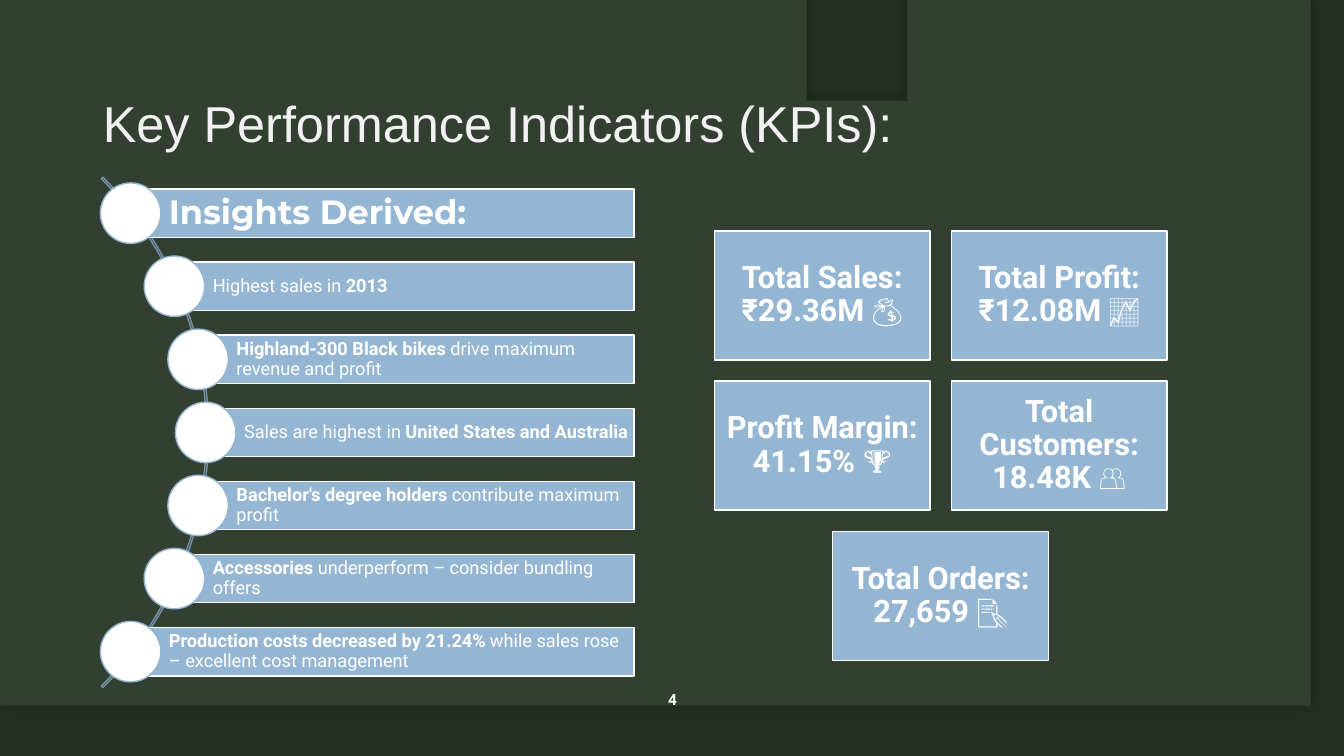
from dataclasses import dataclass
from math import sqrt
from typing import NamedTuple

from lxml import etree
from pptx import Presentation
from pptx.dml.color import RGBColor
from pptx.enum.shapes import MSO_SHAPE
from pptx.enum.text import MSO_ANCHOR, MSO_AUTO_SIZE, PP_ALIGN
from pptx.oxml.ns import qn
from pptx.shapes.autoshape import Shape
from pptx.shapes.group import GroupShape
from pptx.slide import Slide
from pptx.text.text import TextFrame
from pptx.util import Inches, Pt

RECTANGLE, OVAL, BLOCK_ARC = MSO_SHAPE.RECTANGLE, MSO_SHAPE.OVAL, MSO_SHAPE.BLOCK_ARC
TOP, MIDDLE = MSO_ANCHOR.TOP, MSO_ANCHOR.MIDDLE
LEFT, CENTER = PP_ALIGN.LEFT, PP_ALIGN.CENTER


@dataclass(frozen=True)
class Theme:
    paper: str = "334031"
    shade: str = "000000"
    panel: str = "94B6D2"
    arc: str = "7792A8"
    white: str = "FFFFFF"
    title: str = "F2F2F2"
    title_font: str = "Arial"
    heading_font: str = "Montserrat"
    body_font: str = "Roboto"
    title_size: int = 36
    heading_size: int = 24
    card_size: int = 22
    insight_size: int = 13
    number_size: int = 11


class Box(NamedTuple):
    left: float
    top: float
    width: float
    height: float


class Point(NamedTuple):
    x: float
    y: float


class Piece(NamedTuple):
    text: str
    bold: bool = False


class Style(NamedTuple):
    font: str
    size: int
    align: PP_ALIGN
    insets: tuple[float, float, float, float]


THEME = Theme()
SLIDE = Box(0, 0, 13.33, 7.5)
HEADING = Style(THEME.heading_font, THEME.heading_size, LEFT, (0.38, 0.07, 0.07, 0.07))
INSIGHT = Style(THEME.body_font, THEME.insight_size, LEFT, (0.38, 0.04, 0.04, 0.04))
CARD = Style(THEME.body_font, THEME.card_size, CENTER, (0.09, 0.09, 0.09, 0.09))
NUMBER = Style(THEME.body_font, THEME.number_size, CENTER, (0.1, 0.05, 0.1, 0.05))

INSIGHTS = [
    [Piece("Insights Derived:", True)],
    [Piece("Highest sales in "), Piece("2013", True)],
    [Piece("Highland-300 Black bikes", True), Piece(" drive maximum revenue and profit")],
    [Piece("Sales are highest in "), Piece("United States and Australia", True)],
    [Piece("Bachelor's degree holders", True), Piece(" contribute maximum profit")],
    [Piece("Accessories", True), Piece(" underperform – consider bundling offers")],
    [Piece("Production costs decreased by 21.24%", True),
     Piece(" while sales rose – excellent cost management")],
]
CARD_ROWS = [
    ["Total Sales: ₹29.36M 💰", "Total Profit: ₹12.08M 📈"],
    ["Profit Margin: 41.15% 🏆", "Total Customers: 18.48K 👥"],
    ["Total Orders: 27,659 📝"],
]
TOP_EDGE = [0.45, 0.37, 0.38, 0.27, 0.38, 0.36, 0.46, 0.41, 0.54, 0.38, 0.4, 0.37, 0.34]
BOTTOM_EDGE = [7.14, 7.17, 7.18, 7.11, 7.11, 7.16, 7.14, 7.08, 7.17, 7.23, 7.15, 7.18, 7.2]
LEFT_EDGE = [0.35, 0.27, 0.37, 0.37, 0.42, 0.37, 0.34]
RIGHT_EDGE = [12.98, 12.91, 12.99, 13.02, 12.97, 12.94, 13.05]


def color(value: str) -> RGBColor:
    return RGBColor.from_string(value)


def paint(shape: Shape, fill: str | None, line: str | None) -> None:
    shape.shadow.inherit = False
    if fill:
        shape.fill.solid()
        shape.fill.fore_color.rgb = color(fill)
    else:
        shape.fill.background()
    if line:
        shape.line.color.rgb = color(line)
        shape.line.width = Pt(1)
    else:
        shape.line.fill.background()


def add_shape(parent: Slide | GroupShape, kind: MSO_SHAPE, box: Box,
              fill: str | None, line: str | None) -> Shape:
    shape = parent.shapes.add_shape(kind, *map(Inches, box))
    paint(shape, fill, line)
    return shape


def write(text_frame: TextFrame, pieces: list[Piece], style: Style) -> None:
    text_frame.word_wrap = True
    text_frame.vertical_anchor = MIDDLE
    (text_frame.margin_left, text_frame.margin_top,
     text_frame.margin_right, text_frame.margin_bottom) = map(Inches, style.insets)
    paragraph = text_frame.paragraphs[0]
    paragraph.alignment = style.align
    paragraph.line_spacing = 0.9
    paragraph.space_after = Pt(round(style.size * 0.35, 1))
    for piece in pieces:
        run = paragraph.add_run()
        run.text = piece.text
        run.font.name = style.font
        run.font.size = Pt(style.size)
        run.font.bold = piece.bold
        run.font.color.rgb = color(THEME.white)


def paper_corners() -> list[Point]:
    top = [Point(0.5 + step, y) for step, y in enumerate(TOP_EDGE)]
    right = [Point(x, 0.7 + step) for step, x in enumerate(RIGHT_EDGE)]
    bottom = [Point(0.5 + step, y) for step, y in enumerate(BOTTOM_EDGE)]
    left = [Point(x, 0.7 + step) for step, x in enumerate(LEFT_EDGE)]
    return top + right + bottom[::-1] + left[::-1]


def blend(a: float, b: float, c: float, d: float, t: float) -> float:
    slope, bend, twist = c - a, 2 * a - 5 * b + 4 * c - d, 3 * (b - c) + d - a
    return b + (slope * t + bend * t ** 2 + twist * t ** 3) / 2


def smooth_outline(corners: list[Point], steps: int = 6) -> list[Point]:
    outline = []
    for index in range(len(corners)):
        near = [corners[(index + shift) % len(corners)] for shift in range(-1, 3)]
        for step in range(steps):
            outline.append(Point(*(blend(*values, step / steps) for values in zip(*near))))
    return outline


def add_backdrop(slide: Slide) -> list[Shape]:
    shade = add_shape(slide, RECTANGLE, SLIDE, THEME.shade, None)
    shade_color = shade.element.spPr.find(".//" + qn("a:srgbClr"))
    etree.SubElement(shade_color, qn("a:alpha"), val="25000")
    outline = smooth_outline(paper_corners())
    builder = slide.shapes.build_freeform(*outline[0], scale=Inches(1))
    builder.add_line_segments(outline[1:], close=True)
    paper = builder.convert_to_shape()
    paint(paper, THEME.paper, None)
    effects = paper.element.spPr.find(qn("a:effectLst"))
    shadow = etree.SubElement(effects, qn("a:outerShdw"), blurRad=str(Pt(10)), algn="ctr")
    shadow_color = etree.SubElement(shadow, qn("a:srgbClr"), val=THEME.shade)
    etree.SubElement(shadow_color, qn("a:alpha"), val="26000")
    return [shade, paper]


def add_title(slide: Slide, text: str) -> None:
    title = slide.shapes.title
    title.left, title.top, title.width, title.height = map(Inches, (0.92, 0.93, 11.5, 1.51))
    text_frame = title.text_frame
    text_frame.text = text
    text_frame.vertical_anchor = TOP
    text_frame.auto_size = MSO_AUTO_SIZE.NONE
    paragraph = text_frame.paragraphs[0]
    paragraph.alignment = LEFT
    paragraph.line_spacing = 0.9
    font = paragraph.runs[0].font
    font.name, font.size = THEME.title_font, Pt(THEME.title_size)
    font.color.rgb = color(THEME.title)


def add_insights(slide: Slide) -> None:
    center_x, center_y, radius = -1.51, 4.29, 3.55
    pitch, bar_height, dot, right = 0.725, 0.48, 0.6, 6.29
    group = slide.shapes.add_group_shape()
    arc = add_shape(group, BLOCK_ARC, Box(-5.09, 0.71, 7.16, 7.16), None, THEME.arc)
    for index, value in enumerate((189, 27, 0.003)):
        arc.adjustments[index] = value
    for index, pieces in enumerate(INSIGHTS):
        offset = (index - len(INSIGHTS) // 2) * pitch
        x, y = center_x + sqrt(radius ** 2 - offset ** 2), center_y + offset
        bar = add_shape(group, RECTANGLE, Box(x, y - bar_height / 2, right - x, bar_height),
                        THEME.panel, THEME.white)
        write(bar.text_frame, pieces, INSIGHT if index else HEADING)
        add_shape(group, OVAL, Box(x - dot / 2, y - dot / 2, dot, dot), THEME.white, THEME.panel)


def add_cards(slide: Slide) -> None:
    center_x, top, width, height, gap = 9.33, 2.29, 2.14, 1.28, 0.21
    group = slide.shapes.add_group_shape()
    for row, texts in enumerate(CARD_ROWS):
        left = center_x - (len(texts) * (width + gap) - gap) / 2
        for column, text in enumerate(texts):
            box = Box(left + column * (width + gap), top + row * (height + gap), width, height)
            card = add_shape(group, RECTANGLE, box, THEME.panel, THEME.white)
            write(card.text_frame, [Piece(text, True)], CARD)


def main() -> None:
    presentation = Presentation()
    presentation.slide_width, presentation.slide_height = Inches(SLIDE.width), Inches(SLIDE.height)
    slide = presentation.slides.add_slide(presentation.slide_layouts[5])
    slide.background.fill.solid()
    slide.background.fill.fore_color.rgb = color(THEME.paper)
    for shape in add_backdrop(slide):
        slide.shapes.title.element.addprevious(shape.element)
    add_title(slide, "Key Performance Indicators (KPIs):")
    add_insights(slide)
    number = slide.shapes.add_textbox(*map(Inches, (6.37, 6.75, 0.6, 0.4)))
    write(number.text_frame, [Piece("4", True)], NUMBER)
    add_cards(slide)
    presentation.save("out.pptx")


if __name__ == "__main__":
    main()
